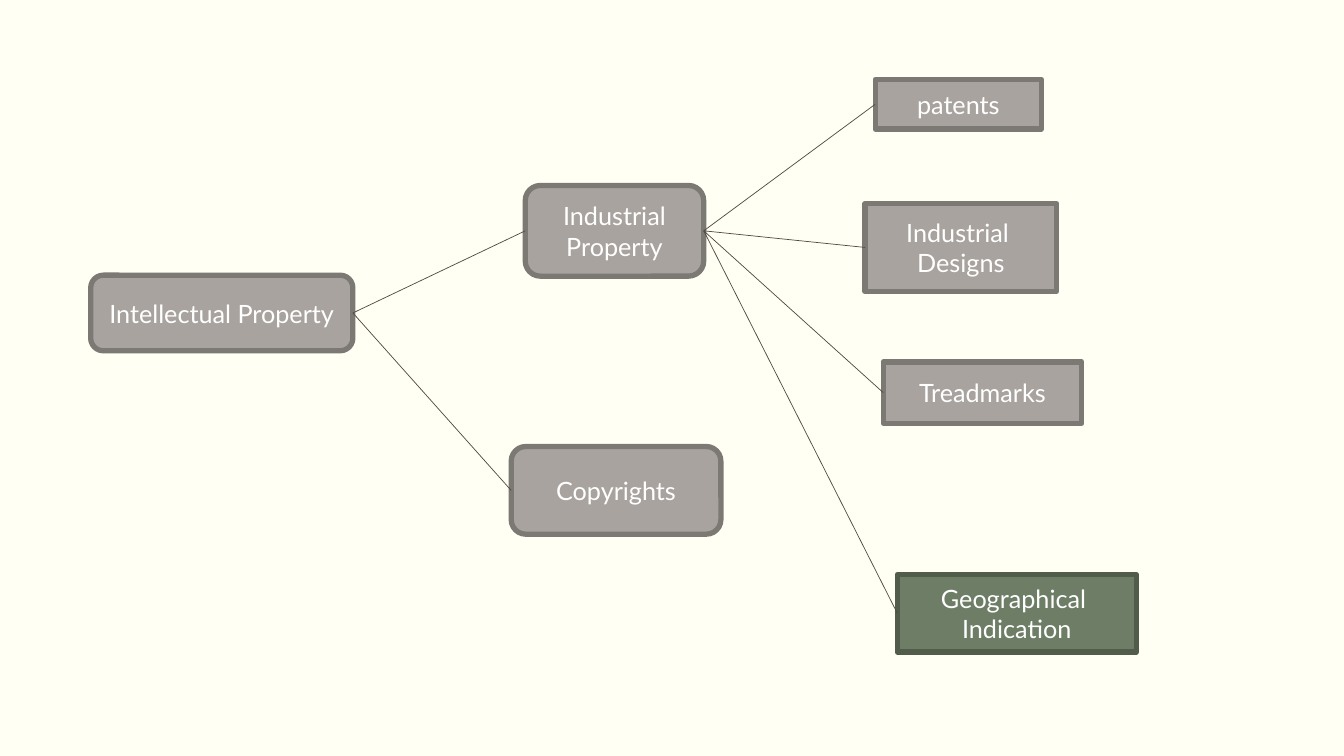
from lxml import etree
from pptx import Presentation
from pptx.dml.color import RGBColor
from pptx.enum.shapes import MSO_CONNECTOR, MSO_SHAPE
from pptx.enum.text import MSO_ANCHOR, PP_ALIGN
from pptx.oxml.ns import qn
from pptx.util import Inches, Pt

ROUND, RECT = MSO_SHAPE.ROUNDED_RECTANGLE, MSO_SHAPE.RECTANGLE
STRAIGHT = MSO_CONNECTOR.STRAIGHT
MIDDLE, CENTER = MSO_ANCHOR.MIDDLE, PP_ALIGN.CENTER
LEFT_SITE, RIGHT_SITE = 1, 3

COLORS = {
    "page": "FFFFF3",
    "text": "FFFFFF",
    "gray": "A8A39E",
    "gray_edge": "7C7975",
    "green": "6D7D66",
    "green_edge": "515C4B",
    "link": "514843",
}


def color(name):
    return RGBColor.from_string(COLORS[name])


class Tree:
    font = "Lato"
    size = Pt(18)
    edge = Pt(3.78)
    thin = Pt(0.5)

    def __init__(self, slide):
        self.slide = slide
        fill = slide.background.fill
        fill.solid()
        fill.fore_color.rgb = color("page")

    def node(self, kind, at, lines, tone="gray"):
        """Add a box with one centred paragraph per line."""
        box = self.slide.shapes.add_shape(kind, *map(Inches, at))
        box.shadow.inherit = False
        box.fill.solid()
        box.fill.fore_color.rgb = color(tone)
        box.line.color.rgb = color(tone + "_edge")
        box.line.width = self.edge
        frame = box.text_frame
        frame.word_wrap = True
        frame.vertical_anchor = MIDDLE
        for i, line in enumerate(lines):
            para = frame.add_paragraph() if i else frame.paragraphs[0]
            para.alignment = CENTER
            run = para.add_run()
            run.text = line
            run.font.name = self.font
            run.font.size = self.size
            run.font.color.rgb = color("text")
        return box

    def link(self, parent, child):
        """Join the right side of parent to the left side of child."""
        line = self.slide.shapes.add_connector(STRAIGHT, 0, 0, 0, 0)
        line.begin_connect(parent, RIGHT_SITE)
        line.end_connect(child, LEFT_SITE)
        line.line.color.rgb = color("link")
        line.line.width = self.thin
        etree.SubElement(line._element.spPr, qn("a:effectLst"))


def main():
    deck = Presentation()
    deck.slide_width, deck.slide_height = Inches(13.33), Inches(7.5)
    tree = Tree(deck.slides.add_slide(deck.slide_layouts[6]))

    root = tree.node(ROUND, (0.9, 2.73, 2.6, 0.75), ["Intellectual Property"])
    industry = tree.node(ROUND, (5.21, 1.84, 1.77, 0.9), ["Industrial", "Property"])
    copyrights = tree.node(ROUND, (5.07, 4.43, 2.08, 0.87), ["Copyrights"])
    rights = [
        tree.node(RECT, (8.68, 0.79, 1.65, 0.49), ["patents"]),
        tree.node(RECT, (8.58, 2.02, 1.9, 0.87), ["Industrial ", "Designs"]),
        tree.node(RECT, (8.76, 3.59, 1.97, 0.61), ["Treadmarks"]),
        tree.node(RECT, (8.9, 5.7, 2.37, 0.77), ["Geographical ", "Indication"], "green"),
    ]

    for parent, children in ((root, [industry, copyrights]), (industry, rights)):
        for child in children:
            tree.link(parent, child)

    deck.save("out.pptx")


if __name__ == "__main__":
    main()
